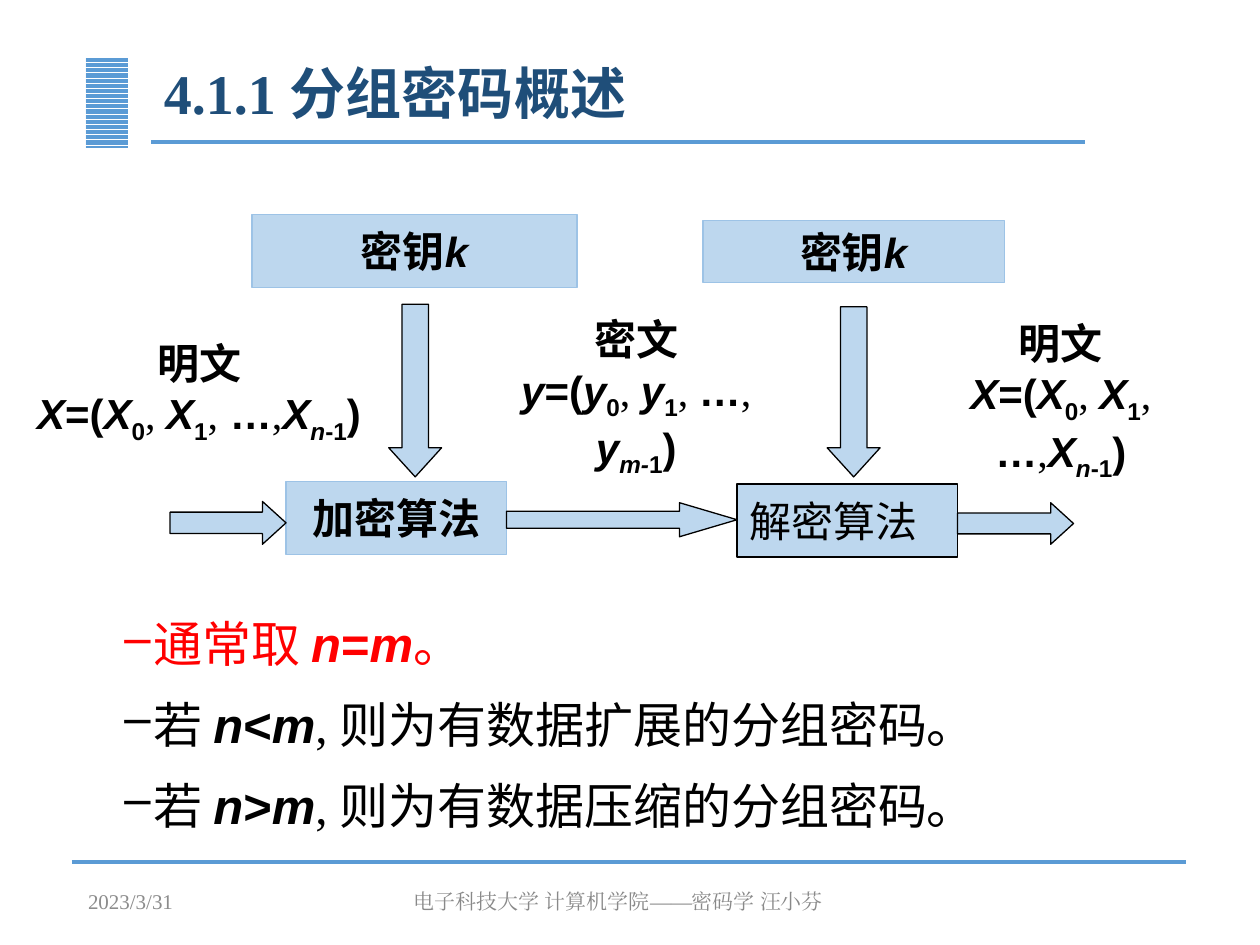
from dataclasses import dataclass
from typing import Optional

from lxml import etree
from pptx import Presentation
from pptx.dml.color import RGBColor
from pptx.enum.dml import MSO_PATTERN
from pptx.enum.shapes import MSO_CONNECTOR, MSO_SHAPE
from pptx.enum.text import MSO_ANCHOR, PP_ALIGN
from pptx.oxml.ns import qn
from pptx.util import Inches, Pt

LEFT, CENTER = PP_ALIGN.LEFT, PP_ALIGN.CENTER
MIDDLE, TOP = MSO_ANCHOR.MIDDLE, MSO_ANCHOR.TOP
RECTANGLE, RIGHT_ARROW = MSO_SHAPE.RECTANGLE, MSO_SHAPE.RIGHT_ARROW
STRAIGHT = MSO_CONNECTOR.STRAIGHT

BLACK = RGBColor(0x00, 0x00, 0x00)
WHITE = RGBColor(0xFF, 0xFF, 0xFF)
RED = RGBColor(0xFF, 0x00, 0x00)
BLUE = RGBColor(0x5B, 0x9B, 0xD5)
NAVY = RGBColor(0x1F, 0x4E, 0x79)
PALE_BLUE = RGBColor(0xBD, 0xD7, 0xEE)
EDGE_BLUE = RGBColor(0x9D, 0xC3, 0xE6)
DATE_GRAY = RGBColor(0x8C, 0x8C, 0x8C)
FOOTER_GRAY = RGBColor(0x89, 0x89, 0x89)

CJK, ARIAL, TIMES, ROBOTO = "Noto Sans CJK SC", "Arial", "Times New Roman", "Roboto"


@dataclass
class Span:
    text: str
    font: str = ARIAL
    bold: bool = True
    italic: bool = False
    subscript: bool = False


@dataclass
class Box:
    left: float
    top: float
    width: float
    height: float
    spans: list[Span]
    edge: RGBColor = EDGE_BLUE
    align: PP_ALIGN = CENTER


@dataclass
class Arrow:
    left: float
    top: float
    width: float
    height: float
    head: float = 0.55
    rotation: int = 0


def variable(text: str, subscript: bool = False) -> Span:
    return Span(text, italic=True, subscript=subscript)


def comma(text: str = ", ") -> Span:
    return Span(text, TIMES, bold=False)


def write(frame, lines: list[list[Span]], *, size: float, colors: list[RGBColor],
          align: PP_ALIGN = LEFT, anchor: MSO_ANCHOR = MIDDLE, wrap: bool = True,
          line_spacing: Optional[float] = None, bullet: str = "") -> None:
    """Fill a text frame with one paragraph per line; colors repeat the last one."""
    frame.word_wrap = wrap
    frame.vertical_anchor = anchor
    for index, spans in enumerate(lines):
        para = frame.add_paragraph() if index else frame.paragraphs[0]
        para.alignment = align
        if line_spacing:
            para.line_spacing = line_spacing
        if bullet:
            add_bullet(para, bullet)
            para.space_before = Pt(10 if index else 0)
            para.space_after = Pt(6)
        for span in spans:
            run = para.add_run()
            run.text = span.text
            font = run.font
            font.size, font.bold, font.italic = Pt(size), span.bold, span.italic
            font.color.rgb = colors[min(index, len(colors) - 1)]
            font.name = span.font
            properties = run._r.get_or_add_rPr()
            etree.SubElement(properties, qn("a:ea")).set("typeface", span.font)
            if span.subscript:
                properties.set("baseline", "-25000")


def add_bullet(para, character: str) -> None:
    properties = para._p.get_or_add_pPr()
    properties.set("marL", str(Inches(0.25)))
    properties.set("indent", str(-Inches(0.25)))
    etree.SubElement(properties, qn("a:buChar")).set("char", character)


def add_text(page, left: float, top: float, width: float, height: float,
             lines: list[list[Span]], **style) -> None:
    box = page.shapes.add_textbox(Inches(left), Inches(top), Inches(width), Inches(height))
    write(box.text_frame, lines, **style)


def add_shape(page, kind: MSO_SHAPE, item, edge: RGBColor):
    shape = page.shapes.add_shape(kind, Inches(item.left), Inches(item.top),
                                  Inches(item.width), Inches(item.height))
    shape.shadow.inherit = False
    shape.fill.solid()
    shape.fill.fore_color.rgb = PALE_BLUE
    shape.line.color.rgb = edge
    shape.line.width = Pt(0.75)
    return shape


def add_box(page, box: Box) -> None:
    shape = add_shape(page, RECTANGLE, box, box.edge)
    write(shape.text_frame, [box.spans], size=24, colors=[BLACK], align=box.align, wrap=False)


def add_arrow(page, arrow: Arrow) -> None:
    shape = add_shape(page, RIGHT_ARROW, arrow, BLACK)
    shape.adjustments[0] = 0.5
    shape.adjustments[1] = arrow.head
    shape.rotation = arrow.rotation


def add_rule(page, left: float, right: float, y: float) -> None:
    rule = page.shapes.add_connector(STRAIGHT, Inches(left), Inches(y), Inches(right), Inches(y))
    rule.line.color.rgb = BLUE
    rule.line.width = Pt(2.25)
    etree.SubElement(rule._element.spPr, qn("a:effectLst"))


def block(name: str, letter: str, middle: list[Span], ending: list[Span]) -> list[list[Span]]:
    """Caption of a text block: its name above its vector of components."""
    vector = [variable(letter), Span("=("), variable(letter), Span("0", subscript=True),
              comma(), variable(letter), Span("1", subscript=True), *middle,
              variable(letter), *ending, Span(")")]
    return [[Span(name, CJK)], vector]


def condition(lead: str, sign: str, rest: list[Span]) -> list[Span]:
    return [Span(lead, CJK, False), variable("n"), Span(sign), variable("m"), *rest]


def consequence(text: str) -> list[Span]:
    return [comma(), Span(text, CJK, False)]


KEY = [Span("密钥", CJK), variable("k")]
BOXES = [
    Box(5.85, 3.84, 1.75, 0.58, [Span("解密算法", ROBOTO, False)], BLACK, LEFT),
    Box(2.27, 3.82, 1.75, 0.58, [Span("加密算法", CJK)]),
    Box(2, 1.7, 2.58, 0.58, KEY),
    Box(5.58, 1.75, 2.39, 0.49, KEY),
]
ARROWS = [
    Arrow(4.02, 3.99, 1.83, 0.27, head=1.69),
    Arrow(7.6, 3.99, 0.92, 0.33),
    Arrow(1.35, 3.98, 0.92, 0.34),
    Arrow(6.1, 2.9, 1.35, 0.42, rotation=90),
    Arrow(2.61, 2.89, 1.37, 0.42, rotation=90),
]
PLAIN = block("明文", "X", [comma(","), Span(" …"), comma(",")],
              [variable("n", True), Span("-1", subscript=True)])
CIPHER = block("密文", "y", [comma(), Span("…"), comma()],
               [variable("m-", True), Span("1", subscript=True)])
CAPTIONS = [
    (0.08, 2.71, 3, 0.79, PLAIN),
    (7.26, 2.74, 2.32, 0.87, PLAIN),
    (3.73, 2.75, 2.64, 0.79, CIPHER),
]
CONDITIONS = [
    condition("通常取 ", "=", [Span("。", CJK, False)]),
    condition("若 ", "<", consequence("则为有数据扩展的分组密码。")),
    condition("若 ", ">", consequence("则为有数据压缩的分组密码。")),
]


def main() -> None:
    deck = Presentation()
    deck.slide_width, deck.slide_height = Inches(10), Inches(7.5)
    page = deck.slides.add_slide(deck.slide_layouts[5])

    # Title with its striped marker, and the two rules
    title = page.shapes.title
    title.left, title.top = Inches(1.2), Inches(0.4)
    title.width, title.height = Inches(7.41), Inches(0.73)
    write(title.text_frame, [[Span("4.1.1 ", TIMES), Span("分组密码概述", CJK)]],
          size=32, colors=[NAVY], line_spacing=0.9)
    marker = page.shapes.add_shape(RECTANGLE, Inches(0.68), Inches(0.45),
                                   Inches(0.34), Inches(0.72))
    marker.shadow.inherit = False
    marker.fill.patterned()
    marker.fill.pattern = MSO_PATTERN.DARK_HORIZONTAL
    marker.fill.fore_color.rgb, marker.fill.back_color.rgb = BLUE, WHITE
    marker.line.fill.background()
    add_rule(page, 1.2, 8.61, 1.13)
    add_rule(page, 0.57, 9.41, 6.84)

    # Encryption and decryption flow
    for box in BOXES:
        add_box(page, box)
    for arrow in ARROWS:
        add_arrow(page, arrow)
    for *frame, lines in CAPTIONS:
        add_text(page, *frame, lines, size=24, colors=[BLACK], align=CENTER, wrap=False)

    # Conditions on block lengths
    add_text(page, 0.87, 4.87, 8.26, 1.85, CONDITIONS, size=28, colors=[RED, BLACK],
             anchor=TOP, line_spacing=0.9, bullet="‒")

    # Footer
    add_text(page, 0.6, 6.95, 2.25, 0.4, [[Span("2023/3/31", TIMES, False)]],
             size=12, colors=[DATE_GRAY])
    add_text(page, 3.15, 6.95, 3.52, 0.4,
             [[Span("电子科技大学 计算机学院——密码学 汪小芬", TIMES, False)]],
             size=12, colors=[FOOTER_GRAY], align=CENTER)

    deck.save("out.pptx")


if __name__ == "__main__":
    main()
